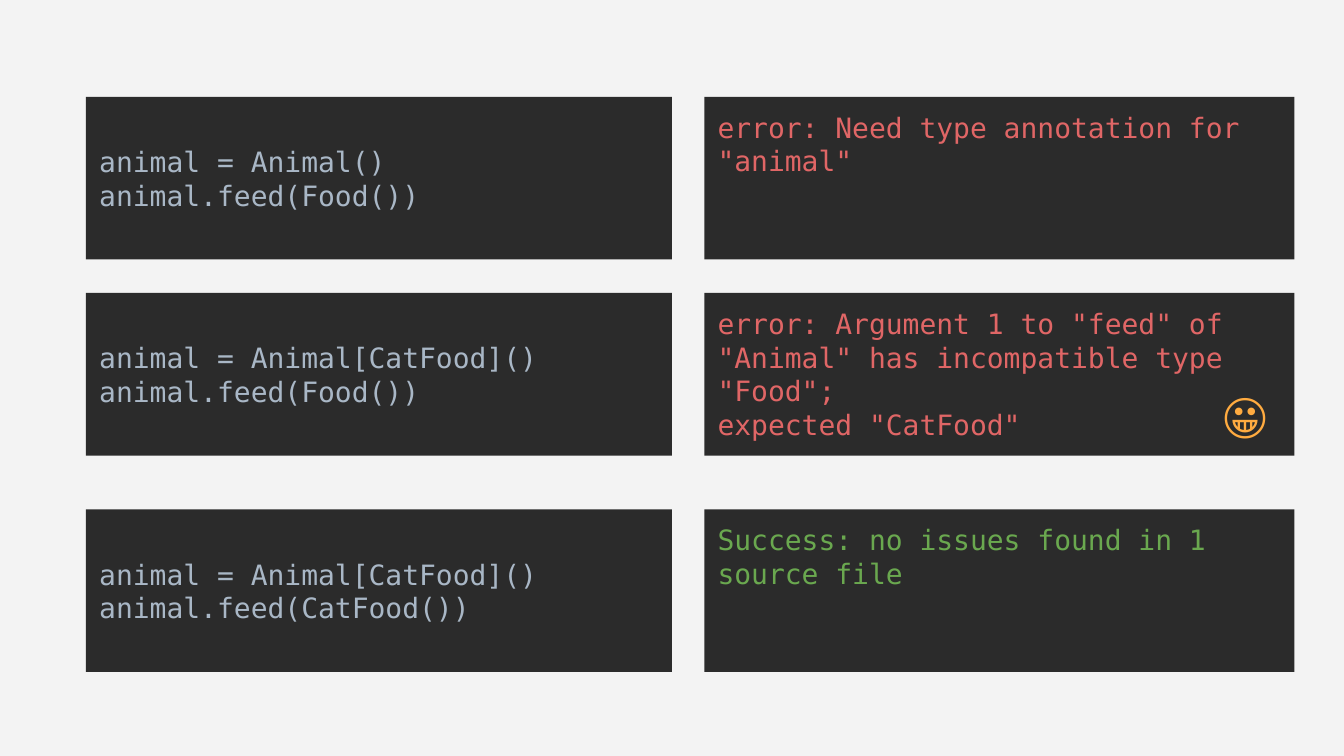
from pptx import Presentation
from pptx import util as u
from pptx.dml.color import RGBColor
from pptx.enum import shapes, text

PAPER = RGBColor(0xF3, 0xF3, 0xF3)
PANEL = RGBColor(0x2B, 0x2B, 0x2B)
CODE = RGBColor(0xA9, 0xB7, 0xC6)
ERROR = RGBColor(0xE0, 0x66, 0x66)
SUCCESS = RGBColor(0x6A, 0xA8, 0x4F)
SMILE = RGBColor(0xFF, 0xAB, 0x40)
MONO = "DejaVu Sans Mono"

# Grid: code column and checker output column, three rows (inches)
COLUMNS = [(0.64, 4.36), (5.24, 4.39)]  # left, width
ROWS = [0.72, 2.18, 3.79]
ROW_H = 1.21


def write(sp, paragraphs, size, font, color, anchor):
    """Fill a shape; a newline inside a paragraph is a line break."""
    tf = sp.text_frame
    tf.word_wrap = True
    tf.vertical_anchor = anchor
    tf.margin_left = tf.margin_right = u.Inches(0.1)
    tf.margin_top = tf.margin_bottom = u.Inches(0.1)
    for i, paragraph in enumerate(paragraphs):
        p = tf.add_paragraph() if i else tf.paragraphs[0]
        p.alignment = text.PP_ALIGN.LEFT
        for j, line in enumerate(paragraph.split("\n")):
            if j:
                p.add_line_break()
            r = p.add_run()
            r.text = line
            r.font.size = u.Pt(size)
            r.font.name = font
            r.font.color.rgb = color


# 16:9 slide
prs = Presentation()
prs.slide_width = u.Inches(10)
prs.slide_height = prs.slide_width * 9 // 16
s = prs.slides.add_slide(prs.slide_layouts[6])
s.background.fill.solid()
s.background.fill.fore_color.rgb = PAPER

# Each row: code, checker output, output colour
examples = [
    (["animal = Animal()\nanimal.feed(Food())"],
     ['error: Need type annotation for "animal"'], ERROR),
    (["animal = Animal[CatFood]()", "animal.feed(Food())"],
     ['error: Argument 1 to "feed" of "Animal" has incompatible type "Food";\n'
      'expected "CatFood"'], ERROR),
    (["animal = Animal[CatFood]()", "animal.feed(CatFood())"],
     ["Success: no issues found in 1\nsource file"], SUCCESS),
]

# Code panels sit beside their output panels
for top, (code, output, color) in zip(ROWS, examples):
    cells = [(code, CODE, text.MSO_ANCHOR.MIDDLE),
             (output, color, text.MSO_ANCHOR.TOP)]
    for (left, width), (paragraphs, ink, anchor) in zip(COLUMNS, cells):
        sp = s.shapes.add_shape(shapes.MSO_SHAPE.RECTANGLE, u.Inches(left),
                                u.Inches(top), u.Inches(width), u.Inches(ROW_H))
        sp.shadow.inherit = False
        sp.fill.solid()
        sp.fill.fore_color.rgb = PANEL
        sp.line.fill.background()
        write(sp, paragraphs, 15, MONO, ink, anchor)

# Smiley in the corner of the middle output panel
smiley = s.shapes.add_textbox(u.Inches(9), u.Inches(2.76),
                              u.Inches(0.6), u.Inches(0.64))
write(smiley, ["😀"], 26, "TeX Gyre Schola", SMILE, text.MSO_ANCHOR.TOP)

prs.save("out.pptx")
